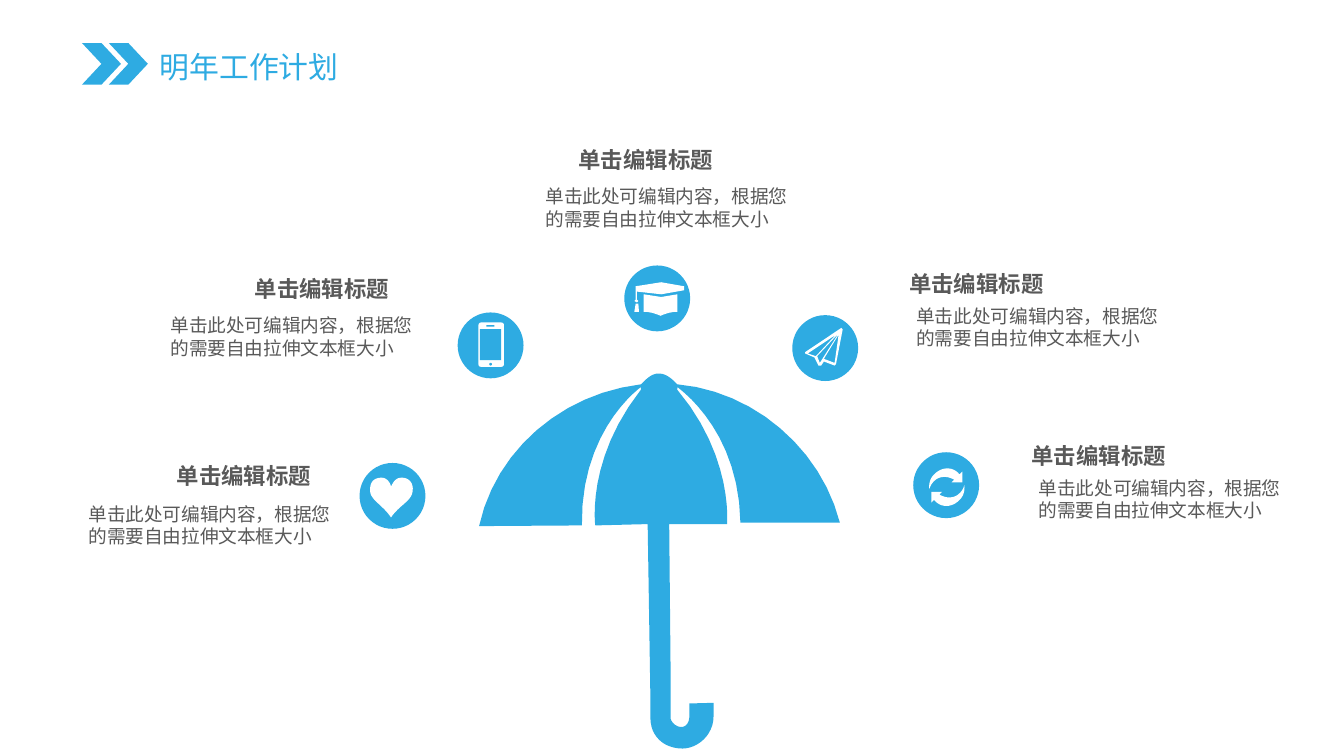
from dataclasses import dataclass
from math import cos, radians, sin

from lxml.etree import SubElement
from pptx import Presentation
from pptx.dml.color import RGBColor
from pptx.enum.shapes import MSO_SHAPE as Kind
from pptx.enum.text import MSO_ANCHOR as Anchor, MSO_AUTO_SIZE as Fit, PP_ALIGN as Align
from pptx.oxml.ns import qn
from pptx.util import Inches, Pt

COLORS = {"blue": "2EABE2", "white": "FFFFFF", "gray": "595959"}
FONT = "Noto Sans CJK SC"
HEAD = "单击编辑标题"
BODY = "单击此处可编辑内容，根据您的需要自由拉伸文本框大小"
WIDTH = 10
DISC = 0.49
STEPS = 12
TILT = -0.7
UNIT = Inches(1) // 100

# Outlines are in hundredths of an inch: a pair is a line to that point,
# six numbers are a cubic curve.
Path = list[tuple[float, ...]]

UMBRELLA: Path = [
    (551, 389), (625, 389),
    (611, 334, 561, 291, 504, 286),
    (500, 282, 496, 278, 490, 278),
    (485, 278, 481, 282, 477, 286),
    (418, 293, 369, 335, 356.5, 391.5),
    (433, 391),
    (432, 326, 469, 294, 477, 288),
    (477, 290),
    (436, 342, 443, 391, 443, 391),
    (482, 390), (484, 520), (484, 534),
    (484, 548, 494, 557, 508, 557),
    (519, 557, 531, 547, 531, 533),
    (531, 523), (513, 523.5), (513, 533),
    (513, 537, 511, 541, 507, 541),
    (503, 541, 499, 537, 499, 534),
    (499, 498), (498, 390), (541, 390),
    (541, 390, 546, 340, 504, 290),
    (504, 288),
    (512, 294, 550, 325, 551, 389),
]

HEART: list[Path] = [[
    (291, 362),
    (290, 358, 287, 355, 283, 355.5),
    (277, 356, 275, 360, 275.5, 366),
    (276, 372, 285, 376, 291, 385),
    (297, 376, 306, 373, 307, 366),
    (308, 360, 305, 356, 300, 355.5),
    (295, 355, 293, 358, 291, 362),
]]

ARROW: Path = [
    (714, 353),
    (709, 347, 701, 347, 695, 353),
    (692, 356, 691, 360, 691.5, 364),
    (692, 362, 693, 360, 695, 358),
    (699, 354, 705, 354, 710, 357),
    (708, 359), (716, 359), (716, 351),
]

CAP: list[Path] = [
    [(509, 213), (492, 210), (473, 213), (473, 223), (472, 224), (474, 225),
     (475, 224), (474, 223), (474, 217), (492, 219), (509, 216)],
    [(475, 226), (473, 226), (472, 232), (475.5, 232)],
    [(479, 232), (479, 219), (492, 221), (504, 219), (504, 232),
     (500, 232, 496, 233, 491.5, 235),
     (487, 233, 483, 232, 479, 232)],
]

PLANE: list[Path] = [
    [(626, 244), (599, 262), (599, 263), (606, 266), (609, 272), (611, 272),
     (613, 269), (621, 272), (622, 271), (627, 245)],
    [(601, 263), (622, 249), (607, 265)],
    [(608, 265), (624, 248), (610, 270)],
    [(621, 270), (613, 267), (624, 249)],
]


@dataclass
class Item:
    """Centre of the disc, then left and top of the heading and the body."""
    disc: tuple[float, float]
    head: tuple[float, float]
    body: tuple[float, float]
    icon: list[Path]


def turn(path: Path, x: float, y: float, angle: float) -> Path:
    """Path turned clockwise by degrees about a point."""
    c, s = cos(radians(angle)), sin(radians(angle))
    out = []
    for seg in path:
        pairs = zip(seg[::2], seg[1::2])
        out.append(tuple(v for a, b in pairs for v in (
            x + (a - x) * c - (b - y) * s, y + (a - x) * s + (b - y) * c)))
    return out


def trace(path: Path) -> list[tuple[float, float]]:
    """Points in EMU along a path, with its curves sampled."""
    pts = [path[0]]
    for seg in path[1:]:
        if len(seg) == 2:
            pts.append(seg)
            continue
        a, b, c, d = pts[-1], seg[:2], seg[2:4], seg[4:]
        for n in range(1, STEPS + 1):
            t = n / STEPS
            u = 1 - t
            pts.append(tuple(
                u**3 * a[i] + 3 * u * u * t * b[i] + 3 * u * t * t * c[i] + t**3 * d[i]
                for i in (0, 1)))
    return [(x * UNIT, y * UNIT) for x, y in pts]


def paint(shape, color: str) -> None:
    shape.shadow.inherit = False
    shape.fill.solid()
    shape.fill.fore_color.rgb = RGBColor.from_string(COLORS[color])
    shape.line.fill.background()


def add_form(slide, paths: list[Path], color: str):
    first, *rest = [trace(path) for path in paths]
    form = slide.shapes.build_freeform(*first[0])
    form.add_line_segments(first[1:], close=True)
    for pts in rest:
        form.move_to(*pts[0])
        form.add_line_segments(pts[1:], close=True)
    shape = form.convert_to_shape()
    paint(shape, color)
    return shape


def add_preset(slide, kind, box: tuple[float, ...], color: str):
    shape = slide.shapes.add_shape(kind, *map(Inches, box))
    paint(shape, color)
    return shape


def write(shape, text: str, size: int, color: str, *, bold: bool = False,
          wrap: bool = False, align=Align.LEFT, anchor=Anchor.TOP,
          pad: tuple[float, float] = (0.1, 0.05)) -> None:
    frame = shape.text_frame
    frame.text = text
    frame.word_wrap = wrap
    frame.auto_size = Fit.NONE
    frame.vertical_anchor = anchor
    frame.margin_left = frame.margin_right = Inches(pad[0])
    frame.margin_top = frame.margin_bottom = Inches(pad[1])
    para = frame.paragraphs[0]
    para.alignment = align
    para.line_spacing = Pt(size * 1.2)
    para.space_before = Pt(0)
    run = para.runs[0]
    run.font.size = Pt(size)
    run.font.bold = bold
    run.font.name = FONT
    run.font.color.rgb = RGBColor.from_string(COLORS[color])
    SubElement(run._r.get_or_add_rPr(), qn("a:ea"), typeface=FONT)


def add_phone(slide) -> None:
    case = add_preset(slide, Kind.ROUNDED_RECTANGLE, (3.56, 2.4, 0.19, 0.33), "white")
    case.adjustments[0] = 0.1
    add_preset(slide, Kind.RECTANGLE, (3.57, 2.45, 0.16, 0.23), "blue")
    add_preset(slide, Kind.RECTANGLE, (3.62, 2.42, 0.06, 0.01), "blue")
    add_preset(slide, Kind.OVAL, (3.64, 2.7, 0.02, 0.02), "blue")


def add_item(slide, item: Item) -> None:
    x, y = item.disc
    add_preset(slide, Kind.OVAL, (x - DISC / 2, y - DISC / 2, DISC, DISC), "blue")
    if item.icon:
        add_form(slide, item.icon, "white")
    else:
        add_phone(slide)
    head = slide.shapes.add_textbox(*map(Inches, (*item.head, 1.21, 0.3)))
    write(head, HEAD, 12, "gray", bold=True, align=Align.CENTER)
    body = slide.shapes.add_textbox(*map(Inches, (*item.body, 2.02, 0.44)))
    write(body, BODY, 10, "gray", wrap=True)


ITEMS = [
    Item((2.92, 3.69), (1.21, 3.39), (0.56, 3.69), HEART),
    Item((7.04, 3.61), (7.57, 3.24), (7.63, 3.5),
         [ARROW, turn(ARROW, 704.5, 362.5, 180)]),
    Item((4.89, 2.22), (4.2, 1.04), (3.96, 1.33), CAP),
    Item((3.65, 2.57), (1.79, 2), (1.17, 2.29), []),
    Item((6.14, 2.59), (6.66, 1.96), (6.72, 2.22), PLANE),
]


def main() -> None:
    deck = Presentation()
    deck.slide_width, deck.slide_height = Inches(WIDTH), Inches(WIDTH * 9 / 16)
    slide = deck.slides.add_slide(deck.slide_layouts[5])
    title = slide.shapes.title
    title.left, title.top, title.width, title.height = map(Inches, (1.11, 0.32, 1.5, 0.35))
    write(title, "明年工作计划", 16, "blue", anchor=Anchor.MIDDLE, pad=(0.08, 0.04))
    for left in (0.61, 0.81):
        add_preset(slide, Kind.CHEVRON, (left, 0.32, 0.29, 0.31), "blue")
    level = turn(UMBRELLA, 491, 417.5, -TILT)
    add_form(slide, [level], "blue").rotation = TILT
    for item in ITEMS:
        add_item(slide, item)
    deck.save("out.pptx")


if __name__ == "__main__":
    main()
